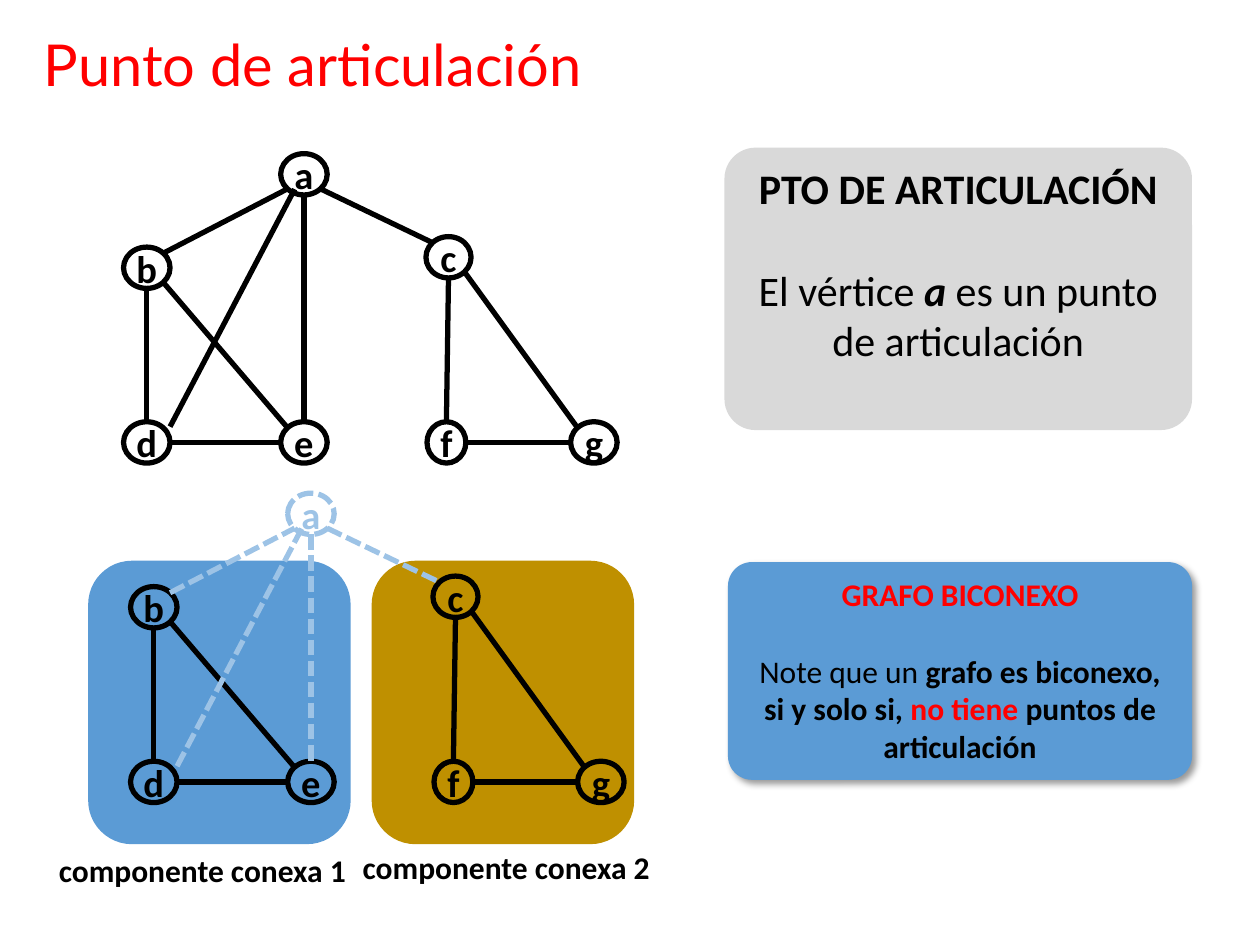
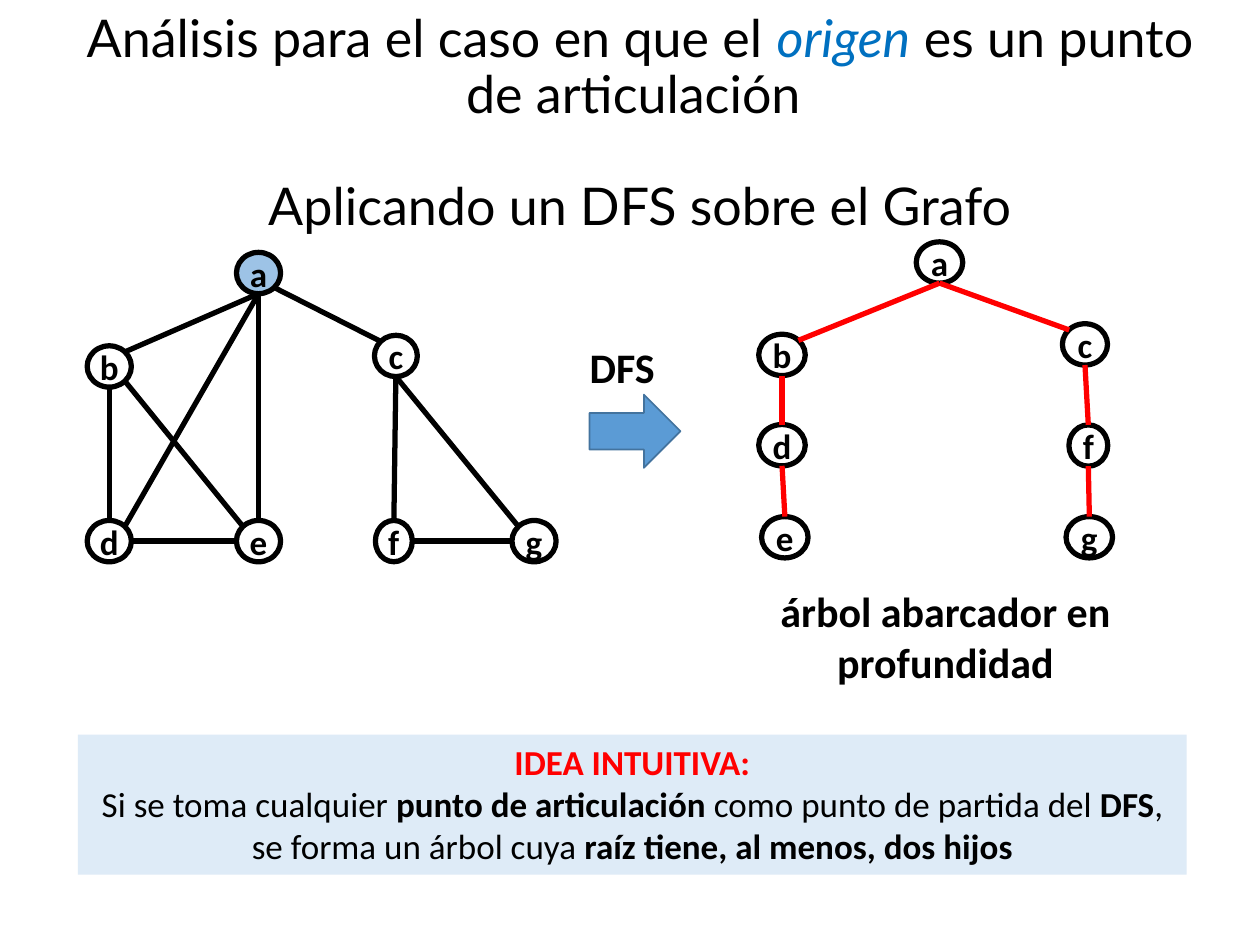
from dataclasses import dataclass
from typing import NamedTuple, Optional

from lxml.etree import SubElement
from pptx import Presentation
from pptx.dml.color import RGBColor
from pptx.enum.dml import MSO_LINE
from pptx.enum.shapes import MSO_CONNECTOR, MSO_SHAPE
from pptx.enum.text import MSO_ANCHOR, PP_ALIGN
from pptx.oxml.ns import qn
from pptx.util import Pt


@dataclass(frozen=True)
class Theme:
    """Colours, fonts and type sizes shared by the slides."""
    ink: str = "000000"
    red: str = "FF0000"
    origin_blue: str = "0070C0"
    blue: str = "5B9BD5"
    arrow_edge: str = "43739E"
    pale_blue: str = "9DC3E6"
    idea_blue: str = "DEEBF7"
    gold: str = "BF9000"
    grey: str = "D9D9D9"
    title_font: str = "Lato"
    body_font: str = "Calibri"
    title: float = 33
    long_title: float = 29.7
    large: float = 24
    idea: float = 20
    label: float = 18
    big_vertex: float = 22
    vertex: float = 20
    stroke: float = 3


THEME = Theme()


class Place(NamedTuple):
    """Left, top, width and height in points."""
    left: float
    top: float
    width: float
    height: float


class Anchor(NamedTuple):
    """Point of a vertex as fractions of its width and height."""
    x: float
    y: float


NORTH, SOUTH = Anchor(0.5, 0), Anchor(0.5, 1)
WEST, EAST = Anchor(0, 0.5), Anchor(1, 0.5)
NORTHWEST, NORTHEAST = Anchor(0.15, 0.15), Anchor(0.85, 0.15)
SOUTHWEST, SOUTHEAST = Anchor(0.15, 0.85), Anchor(0.85, 0.85)
EAST_HIGH, SOUTH_INNER = Anchor(1, 0.12), Anchor(0.3, 0.86)


class Vertex(NamedTuple):
    """Vertex placed relative to its graph."""
    name: str
    left: float
    top: float
    width: float = 26.6


class Edge(NamedTuple):
    """Edge between two vertices, from anchor to anchor."""
    start: str
    start_anchor: Anchor
    end: str
    end_anchor: Anchor


class Span(NamedTuple):
    """Piece of text with one style."""
    text: str
    bold: bool = False
    italic: bool = False
    color: str = THEME.ink


@dataclass(frozen=True)
class Panel:
    """Box of text, filled when it has a shape."""
    place: Place
    paras: tuple[tuple[Span, ...], ...]
    size: float
    shape: Optional[MSO_SHAPE] = None
    fill: Optional[str] = None
    corner: Optional[float] = None
    shadow: bool = False
    centred: bool = True
    gap: float = 0
    font: str = THEME.body_font
    title: bool = False


@dataclass(frozen=True)
class Graph:
    """Drawing of a graph at an origin, with its styles."""
    vertices: tuple[Vertex, ...]
    edges: tuple[Edge, ...]
    left: float
    top: float
    size: float
    stretch: float = 1
    edge_color: str = THEME.ink
    faded: str = ""
    filled: str = ""


VERTICES = (
    Vertex("e", 89.8, 153.2), Vertex("d", 0, 153.2), Vertex("g", 255.5, 153.2),
    Vertex("f", 173.4, 153.2, 22.2), Vertex("c", 172.8, 47.4, 25.8),
    Vertex("b", 0, 53.4), Vertex("a", 89.8, 0),
)
COMMON_EDGES = (
    Edge("b", SOUTH, "d", NORTH), Edge("a", SOUTH, "e", NORTH),
    Edge("d", EAST, "e", WEST), Edge("b", SOUTHEAST, "e", NORTHWEST),
    Edge("a", SOUTHEAST, "c", NORTHWEST), Edge("c", SOUTH, "f", NORTH),
    Edge("f", EAST, "g", WEST),
)
CORNER_EDGES = COMMON_EDGES + (
    Edge("b", NORTHEAST, "a", SOUTHWEST), Edge("d", EAST_HIGH, "a", SOUTH_INNER),
    Edge("c", SOUTHEAST, "g", NORTHWEST),
)
SOUTH_EDGES = COMMON_EDGES + (
    Edge("b", NORTHEAST, "a", SOUTH), Edge("d", NORTHEAST, "a", SOUTH),
    Edge("c", SOUTH, "g", NORTHWEST),
)
TREE_VERTICES = (
    Vertex("e", 1.6, 157), Vertex("d", 0, 104.4), Vertex("g", 175.6, 157),
    Vertex("f", 177.2, 104.6, 22.2), Vertex("c", 173.5, 46.8, 25.8),
    Vertex("b", 0, 52.8), Vertex("a", 90, 0),
)
TREE_EDGES = (
    Edge("b", SOUTH, "d", NORTH), Edge("d", SOUTH, "e", NORTH),
    Edge("b", NORTHEAST, "a", SOUTH), Edge("a", SOUTH, "c", NORTHWEST),
    Edge("c", SOUTH, "f", NORTH), Edge("f", SOUTH, "g", NORTH),
)
VERTEX_HEIGHT = 23.6


def rgb(color: str) -> RGBColor:
    """Turn a hexadecimal colour into an RGBColor."""
    return RGBColor.from_string(color)


def write(frame, paras, size: float, font: str, centred: bool = True,
          gap: float = 0, spacing: Optional[float] = None) -> None:
    """Write paragraphs span by span, with a gap between paragraphs."""
    for index, spans in enumerate(paras):
        para = frame.add_paragraph() if index else frame.paragraphs[0]
        para.alignment = PP_ALIGN.CENTER if centred else PP_ALIGN.LEFT
        if index and gap:
            para.space_before = Pt(gap)
        if spacing:
            para.line_spacing = spacing
        for span in spans:
            run = para.add_run()
            run.text = span.text
            run.font.name, run.font.size = font, Pt(size)
            run.font.bold, run.font.italic = span.bold, span.italic
            run.font.color.rgb = rgb(span.color)


def add_box(shapes, kind: MSO_SHAPE, place: Place, fill: Optional[str] = None):
    """Add a preset shape without line or shadow."""
    box = shapes.add_shape(kind, *map(Pt, place))
    box.shadow.inherit = False
    box.line.fill.background()
    if fill:
        box.fill.solid()
        box.fill.fore_color.rgb = rgb(fill)
    else:
        box.fill.background()
    return box


def style_line(line, color: str, width: float, dashed: bool = False) -> None:
    """Set the colour, width and dash of a line."""
    line.color.rgb = rgb(color)
    line.width = Pt(width)
    if dashed:
        line.dash_style = MSO_LINE.SQUARE_DOT


def add_shadow(box) -> None:
    """Give a box a soft shadow to the lower right."""
    effects = box._element.spPr.find(qn("a:effectLst"))
    shadow = SubElement(effects, qn("a:outerShdw"), blurRad=str(Pt(4)), dist=str(Pt(3)),
                        dir="2700000", algn="tl", rotWithShape="0")
    color = SubElement(shadow, qn("a:srgbClr"), val=THEME.ink)
    SubElement(color, qn("a:alpha"), val="40000")


def draw_panel(page, panel: Panel) -> None:
    """Draw a box of text."""
    if panel.shape is None:
        box = page.shapes.add_textbox(*map(Pt, panel.place))
    else:
        box = add_box(page.shapes, panel.shape, panel.place, panel.fill)
    if panel.corner:
        box.adjustments[0] = panel.corner
    if panel.shadow:
        add_shadow(box)
    frame = box.text_frame
    frame.word_wrap = True
    frame.vertical_anchor = MSO_ANCHOR.MIDDLE if panel.title else MSO_ANCHOR.TOP
    write(frame, panel.paras, panel.size, panel.font, panel.centred, panel.gap,
          0.9 if panel.title else None)


def draw_graph(page, graph: Graph) -> None:
    """Draw the vertices of a graph and then its edges."""
    shapes = page.shapes.add_group_shape().shapes
    places = {}
    for vertex in graph.vertices:
        place = Place(graph.left + vertex.left * graph.stretch, graph.top + vertex.top,
                      vertex.width * graph.stretch, VERTEX_HEIGHT)
        places[vertex.name] = place
        faded = vertex.name == graph.faded
        color = THEME.pale_blue if faded else THEME.ink
        fill = THEME.pale_blue if vertex.name == graph.filled else None
        oval = add_box(shapes, MSO_SHAPE.OVAL, place, fill)
        style_line(oval.line, color, THEME.stroke, faded)
        oval.text_frame.word_wrap = False
        oval.text_frame.vertical_anchor = MSO_ANCHOR.MIDDLE
        write(oval.text_frame, ((Span(vertex.name, True, color=color),),),
              graph.size, THEME.body_font)
    for edge in graph.edges:
        ends = ((places[edge.start], edge.start_anchor), (places[edge.end], edge.end_anchor))
        points = [Pt(value) for place, anchor in ends
                  for value in (place.left + anchor.x * place.width,
                                place.top + anchor.y * place.height)]
        link = shapes.add_connector(MSO_CONNECTOR.STRAIGHT, *points)
        faded = graph.faded in (edge.start, edge.end)
        style_line(link.line, THEME.pale_blue if faded else graph.edge_color,
                   THEME.stroke, faded)
        SubElement(link._element.spPr, qn("a:effectLst"))


def build_articulation_point(page) -> None:
    """Build the slide that defines the articulation point."""
    for left, fill in ((212.4, THEME.gold), (50.4, THEME.blue)):
        add_box(page.shapes, MSO_SHAPE.ROUNDED_RECTANGLE, Place(left, 320.4, 150, 162), fill)
    draw_graph(page, Graph(VERTICES, CORNER_EDGES, 70.6, 87.8, THEME.big_vertex))
    draw_graph(page, Graph(VERTICES, CORNER_EDGES, 74.6, 281.8, THEME.big_vertex, faded="a"))
    for number, left, top in ((1, 26.6, 482.6), (2, 200.2, 481)):
        label = ((Span(f"componente conexa {number}", True),),)
        draw_panel(page, Panel(Place(left, top, 180, 29), label, THEME.label, centred=False))
    draw_panel(page, Panel(
        Place(414, 84.4, 267.2, 161.4),
        ((Span("PTO DE ARTICULACIÓN", True),),
         (Span("El vértice "), Span("a", True, True), Span(" es un punto de articulación"))),
        THEME.large, MSO_SHAPE.ROUNDED_RECTANGLE, THEME.grey, 0.11, gap=29.2))
    draw_panel(page, Panel(
        Place(18, 12, 684, 54), ((Span("Punto de articulación", color=THEME.red),),),
        THEME.title, centred=False, font=THEME.title_font, title=True))
    draw_panel(page, Panel(
        Place(416, 321.2, 265.2, 124.4),
        ((Span("GRAFO BICONEXO", True, color=THEME.red),),
         (Span("Note que un "), Span("grafo es biconexo, si y solo si, ", True),
          Span("no tiene ", True, color=THEME.red), Span("puntos de articulación", True))),
        THEME.label, MSO_SHAPE.ROUNDED_RECTANGLE, THEME.blue, 0.11, True, gap=22))


def build_origin_case(page) -> None:
    """Build the slide that runs DFS from the articulation point."""
    draw_graph(page, Graph(VERTICES, SOUTH_EDGES, 49.8, 144.2, THEME.vertex, 0.95, filled="a"))
    arrow = add_box(page.shapes, MSO_SHAPE.DOWN_ARROW, Place(342, 220.4, 41.8, 52), THEME.blue)
    arrow.rotation = 270
    style_line(arrow.line, THEME.arrow_edge, 1)
    draw_panel(page, Panel(Place(329.8, 191.6, 65, 36), ((Span("DFS", True),),),
                           THEME.large, centred=False))
    draw_graph(page, Graph(TREE_VERTICES, TREE_EDGES, 433.6, 138.2, THEME.vertex,
                           edge_color=THEME.red))
    draw_panel(page, Panel(Place(402.4, 331.2, 275.8, 65.4),
                           ((Span("árbol abarcador en profundidad", True),),), THEME.large))
    draw_panel(page, Panel(
        Place(23.8, 23.8, 684, 95),
        ((Span("Análisis para el caso en que el "),
          Span("origen", italic=True, color=THEME.origin_blue),
          Span(" es un punto de articulación ")),
         (Span("Aplicando un DFS sobre el Grafo"),)),
        THEME.long_title, gap=32, font=THEME.title_font, title=True))
    draw_panel(page, Panel(
        Place(44.6, 419.8, 633.6, 80),
        ((Span("IDEA INTUITIVA:", True, color=THEME.red),),
         (Span("Si se toma cualquier "), Span("punto de articulación ", True),
          Span("como punto de partida del "), Span("DFS", True),
          Span(", se forma un árbol cuya "),
          Span("raíz tiene, al menos, dos hijos", True))),
        THEME.idea, MSO_SHAPE.RECTANGLE, THEME.idea_blue))


def main() -> None:
    """Build and save the deck."""
    deck = Presentation()
    deck.slide_width, deck.slide_height = Pt(720), Pt(540)
    for build in (build_articulation_point, build_origin_case):
        build(deck.slides.add_slide(deck.slide_layouts[6]))
    deck.save("out.pptx")


if __name__ == "__main__":
    main()
